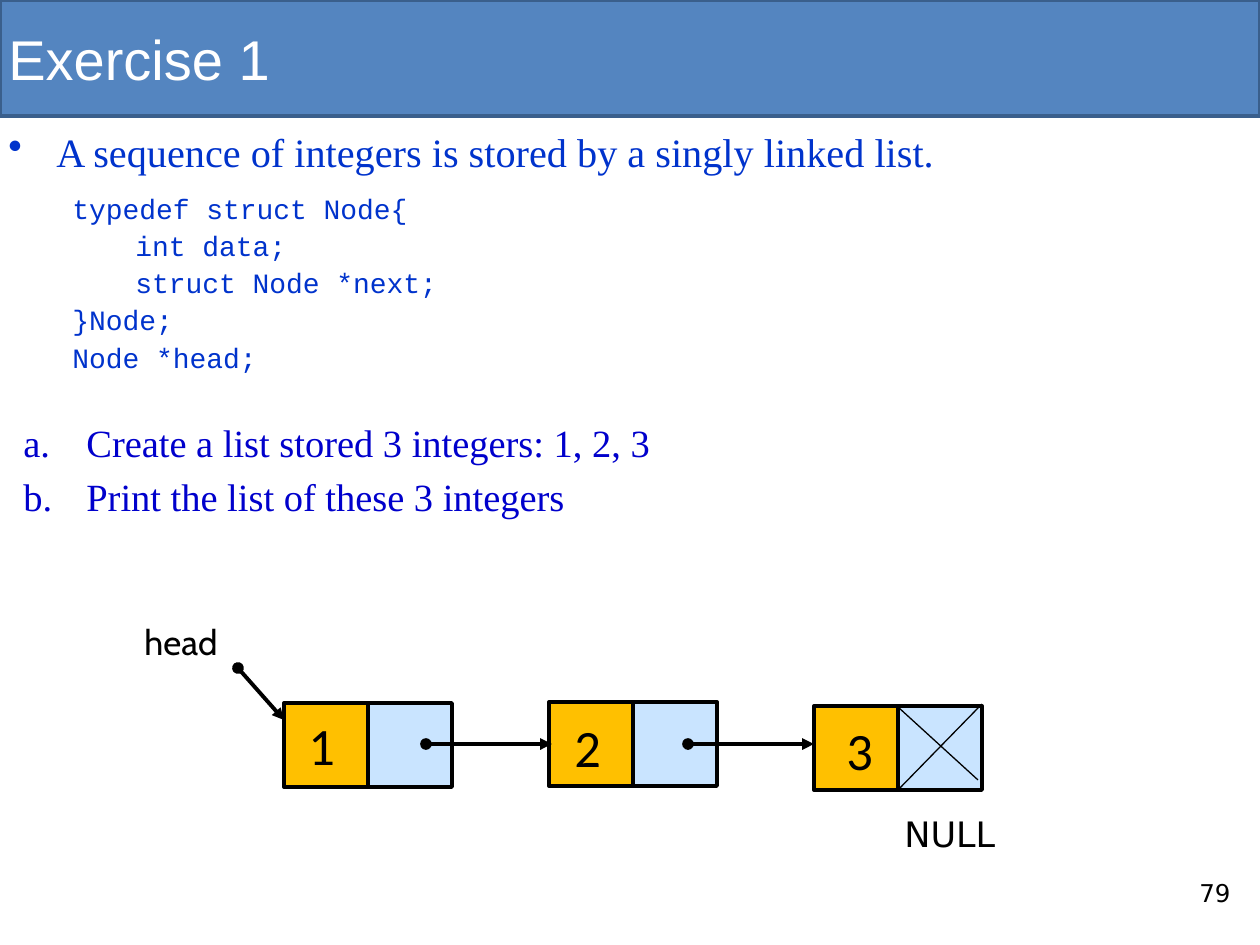
from dataclasses import dataclass

from lxml.etree import SubElement
from pptx import Presentation
from pptx.dml.color import RGBColor
from pptx.enum.shapes import MSO_CONNECTOR, MSO_SHAPE
from pptx.enum.text import MSO_ANCHOR, PP_ALIGN
from pptx.oxml.ns import qn
from pptx.util import Pt

PX = 914400 / 126


@dataclass(frozen=True)
class Theme:
    black: str = "000000"
    white: str = "FFFFFF"
    banner: str = "5485C0"
    banner_line: str = "3A5F8C"
    body: str = "0033CC"
    tasks: str = "0000CC"
    data_cell: str = "FFC000"
    next_cell: str = "C9E4FF"
    title_font: tuple = ("Arial", 32)
    body_font: tuple = ("Times New Roman", 23)
    task_font: tuple = ("Times New Roman", 22)
    code_font: tuple = ("Courier New", 16)
    digit_font: tuple = ("Calibri", 30)
    head_font: tuple = ("Cabin", 20)
    null_font: tuple = ("DejaVu Sans", 20)
    page_font: tuple = ("DejaVu Sans", 14)
    thick: float = 2.25
    thin: float = 0.75


T = Theme()

TITLE = "Exercise 1"
INTRO = "A sequence of integers is stored by a singly linked list."
CODE = [  # line, nesting level
    ("typedef struct Node{", 0),
    ("int data;", 1),
    ("struct Node *next;", 1),
    ("}Node;", 0),
    ("Node *head;", 0),
]
TASKS = ["Create a list stored 3 integers: 1, 2, 3",
         "Print the list of these 3 integers"]
CELL = 84
NODES = [  # value, node corner, label corner
    ("1", (284, 703), (296, 707)),
    ("2", (549, 702), (562, 709)),
    ("3", (814, 706), (834, 712)),
]
POINTERS = [((238, 668), (284, 720)),
            ((426, 744), (552, 744)),
            ((688, 744), (814, 744))]
NULL_CROSS = [((982, 704), (898, 790)), ((898, 707), (978, 780))]
CODE_INDENTS = [(48, -48), (102, -39)]  # by nesting level


def px(n):
    return round(n * PX)


def rgb(color):
    return RGBColor.from_string(color)


def add_text(s, box, lines, font, color, align=PP_ALIGN.LEFT,
             anchor=MSO_ANCHOR.TOP, spacing=None, before=0, indents=None,
             bullet=None):
    """Add a text box; indents holds a (margin, first line) pair per line,
    bullet is an (element, attributes) pair."""
    tf = s.shapes.add_textbox(*map(px, box)).text_frame
    tf.word_wrap = True
    tf.vertical_anchor = anchor
    tf.text = "\n".join(lines)
    for i, p in enumerate(tf.paragraphs):
        pPr = p._p.get_or_add_pPr()
        if indents:
            margin, first = indents[i]
            pPr.set("marL", str(px(margin)))
            pPr.set("indent", str(px(first)))
        if bullet:
            tag, attributes = bullet
            SubElement(pPr, qn(tag), attributes)
        p.alignment = align
        if spacing:
            p.line_spacing = spacing
        if i and before:
            p.space_before = Pt(before)
        for r in p.runs:
            r.font.name, r.font.size = font[0], Pt(font[1])
            r.font.color.rgb = rgb(color)


def add_rect(s, box, fill, line, width):
    sp = s.shapes.add_shape(MSO_SHAPE.RECTANGLE, *map(px, box))
    sp.shadow.inherit = False
    sp.fill.solid()
    sp.fill.fore_color.rgb = rgb(fill)
    sp.line.color.rgb = rgb(line)
    sp.line.width = Pt(width)


def add_line(s, start, end, width, pointer=False):
    """Draw a line; a pointer starts with a dot and ends with an arrowhead."""
    line = s.shapes.add_connector(MSO_CONNECTOR.STRAIGHT,
                                  *map(px, start + end))
    line.line.color.rgb = rgb(T.black)
    line.line.width = Pt(width)
    if pointer:
        ln = line.line._get_or_add_ln()
        SubElement(ln, qn("a:headEnd"), type="oval")
        SubElement(ln, qn("a:tailEnd"), type="triangle")
    SubElement(line._element.spPr, qn("a:effectLst"))


def add_wording(s):
    add_rect(s, (0, 0, 1260, 116), T.banner, T.banner_line, 2)
    add_text(s, (1187, 872, 63, 50), ["79"], T.page_font, T.black)
    add_text(s, (-4, 0, 1264, 116), [TITLE], T.title_font, T.white,
             anchor=MSO_ANCHOR.MIDDLE)
    add_text(s, (-4, 130, 1250, 50), [INTRO], T.body_font, T.body,
             spacing=0.8, indents=[(48, -48)],
             bullet=("a:buChar", {"char": "•"}))
    add_text(s, (60, 189, 445, 190), [line for line, _ in CODE],
             T.code_font, T.body, spacing=0.9, before=4,
             indents=[CODE_INDENTS[level] for _, level in CODE])
    add_text(s, (11, 422, 1168, 106), TASKS, T.task_font, T.tasks,
             spacing=0.8, before=9.5, indents=[(63, -63)] * len(TASKS),
             bullet=("a:buAutoNum", {"type": "alphaLcPeriod"}))


def add_linked_list(s):
    for value, (x, y), label in NODES:
        for left, fill in ((x + CELL, T.next_cell), (x, T.data_cell)):
            add_rect(s, (left, y, CELL, CELL), fill, T.black, T.thick)
        add_text(s, (*label, 126, 77), [value], T.digit_font, T.black)
    for start, end in POINTERS:
        add_line(s, start, end, T.thick, pointer=True)
    for start, end in NULL_CROSS:
        add_line(s, start, end, T.thin)
    add_text(s, (108, 614, 146, 55), ["head"], T.head_font, T.black,
             align=PP_ALIGN.CENTER)
    add_text(s, (892, 806, 136, 55), ["NULL"], T.null_font, T.black)


def main():
    prs = Presentation()
    prs.slide_width, prs.slide_height = px(1260), px(945)
    s = prs.slides.add_slide(prs.slide_layouts[6])
    add_wording(s)
    add_linked_list(s)
    prs.save("out.pptx")


if __name__ == "__main__":
    main()
